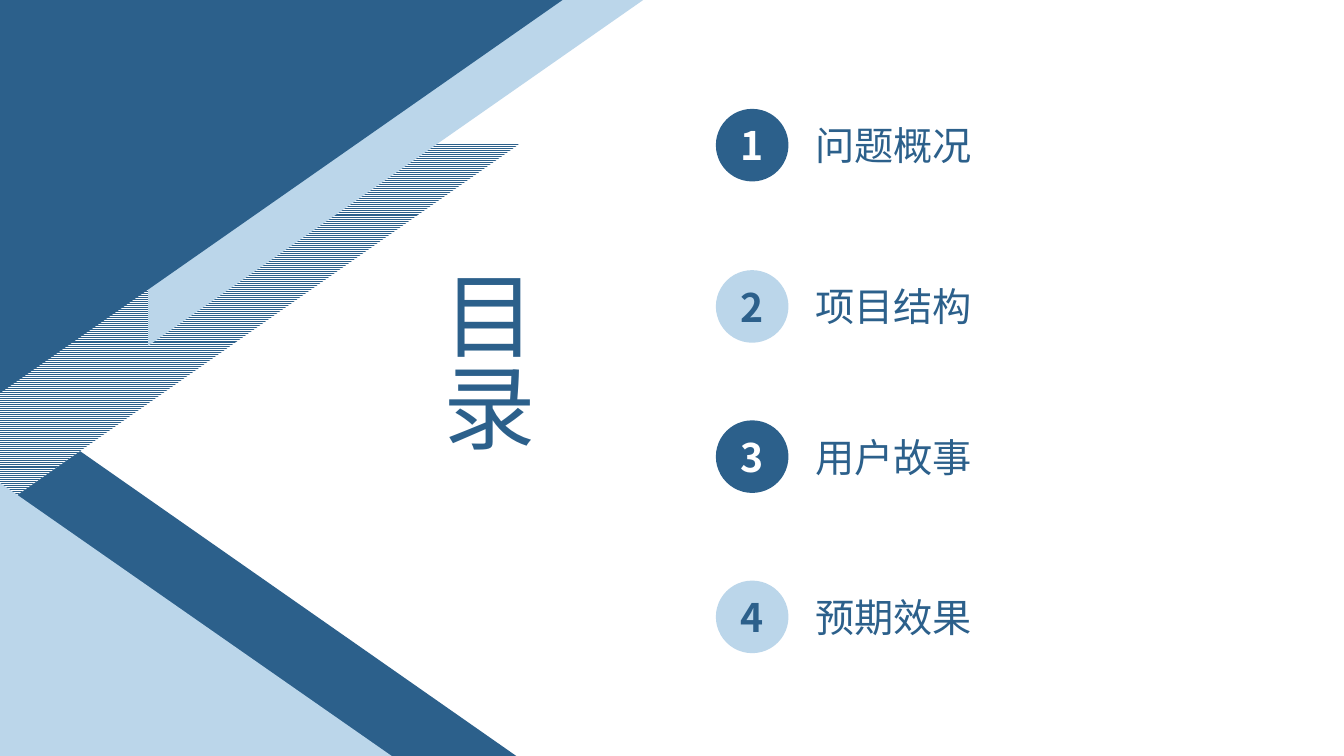
from lxml.etree import SubElement
from pptx import Presentation
from pptx.dml.color import RGBColor
from pptx.enum.dml import MSO_PATTERN
from pptx.enum.shapes import MSO_SHAPE as SHAPE
from pptx.enum.text import MSO_ANCHOR as ANCHOR, MSO_AUTO_SIZE as FIT, PP_ALIGN as ALIGN
from pptx.oxml.ns import qn
from pptx.util import Inches, Pt

TITLE = "目录"
# Label and top of its circle
ITEMS = [("问题概况", 1.08), ("项目结构", 2.68), ("用户故事", 4.17), ("预期效果", 5.76)]
COLORS = {"dark": "2C608B", "light": "BBD6EA", "white": "FFFFFF"}
FONT = "Noto Sans CJK SC"
# Corner triangles as seen: left, top, width, height, fill, corner
WEDGES = [
    (0, 3.92, 5.15, 3.6, "dark", "bottom"),
    (0, 1.43, 5.15, 3.6, "stripes", "top"),
    (1.47, 0, 4.91, 3.43, "light", "top"),
    (0, 0, 5.58, 3.9, "dark", "top"),
    (0, 4.79, 3.9, 2.72, "light", "bottom"),
]
DISC, DISC_X, LABEL_X = 0.72, 7.1, 7.99
LABEL_W, LABEL_H = 2.94, 0.57


def color(name):
    return RGBColor.from_string(COLORS[name])


def add_shape(kind, x, y, w, h, fill):
    shape = slide.shapes.add_shape(kind, Inches(x), Inches(y), Inches(w), Inches(h))
    shape.shadow.inherit = False
    shape.line.fill.background()
    if fill == "stripes":
        shape.fill.patterned()
        shape.fill.pattern = MSO_PATTERN.LIGHT_HORIZONTAL
        shape.fill.fore_color.rgb = color("dark")
        shape.fill.back_color.rgb = color("white")
    else:
        shape.fill.solid()
        shape.fill.fore_color.rgb = color(fill)
    return shape


def add_wedge(x, y, w, h, fill, corner):
    # A quarter turn swaps width and height about the centre
    shift = (w - h) / 2
    wedge = add_shape(SHAPE.RIGHT_TRIANGLE, x + shift, y - shift, h, w, fill)
    wedge.rotation = 90
    if corner == "bottom":
        wedge._element.spPr.find(qn("a:xfrm")).set("flipH", "1")


def set_text(shape, text, size, ink, align, bold=False):
    frame = shape.text_frame
    frame.text = text
    frame.word_wrap = True
    frame.auto_size = FIT.NONE
    para = frame.paragraphs[0]
    para.alignment = align
    font = para.runs[0].font
    font.size, font.bold, font.name = Pt(size), bold, FONT
    font.color.rgb = color(ink)
    SubElement(font._element, qn("a:ea")).set("typeface", FONT)
    return frame


deck = Presentation()
deck.slide_width, deck.slide_height = Inches(13.33), Inches(7.5)
slide = deck.slides.add_slide(deck.slide_layouts[5])

# Corner artwork
for wedge in WEDGES:
    add_wedge(*wedge)

# Vertical title
title = slide.shapes.title
title.left, title.top = Inches(4.16), Inches(2.62)
title.width, title.height = Inches(1.31), Inches(2.21)
frame = set_text(title, TITLE, 66, "dark", ALIGN.JUSTIFY)
frame.vertical_anchor = ANCHOR.TOP
frame._txBody.bodyPr.set("vert", "eaVert")

# Numbered contents, alternating dark and light discs
for num, (label, top) in enumerate(ITEMS, 1):
    fill, ink = ("dark", "white") if num % 2 else ("light", "dark")
    disc = add_shape(SHAPE.OVAL, DISC_X, top, DISC, DISC, fill)
    frame = set_text(disc, str(num), 28, ink, ALIGN.CENTER, bold=True)
    frame.margin_left = frame.margin_right = 0
    frame.margin_top = frame.margin_bottom = 0
    frame.vertical_anchor = ANCHOR.MIDDLE

    box = slide.shapes.add_textbox(
        Inches(LABEL_X), Inches(top + (DISC - LABEL_H) / 2),
        Inches(LABEL_W), Inches(LABEL_H))
    set_text(box, label, 28, "dark", ALIGN.LEFT)

deck.save("out.pptx")
